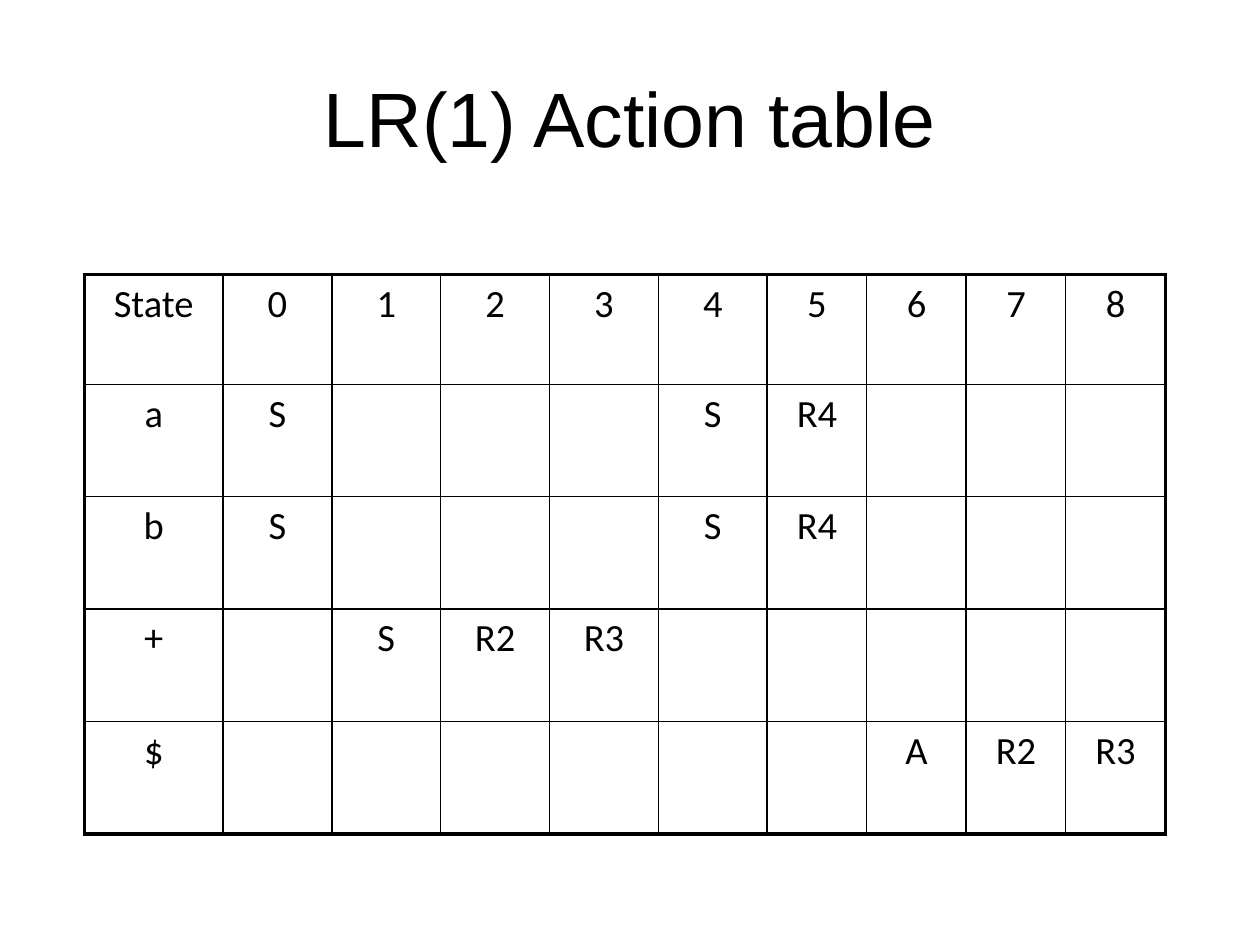
from lxml.etree import SubElement
from pptx import Presentation
from pptx.dml.color import RGBColor
from pptx.enum.text import MSO_ANCHOR, PP_ALIGN
from pptx.oxml.ns import qn
from pptx.util import Inches, Pt

BLACK = RGBColor(0x00, 0x00, 0x00)

TITLE = "LR(1) Action table"
STATES = range(9)
ACTIONS = {  # symbol: {state: action}
    "a": {0: "S", 4: "S", 5: "R4"},
    "b": {0: "S", 4: "S", 5: "R4"},
    "+": {1: "S", 2: "R2", 3: "R3"},
    "$": {6: "A", 7: "R2", 8: "R3"},
}

TABLE_LEFT, TABLE_TOP, TABLE_WIDTH, TABLE_HEIGHT = 0.67, 2.18, 8.58, 4.44
LABEL_WIDTH, NARROW_WIDTH, NARROW_COUNT = 1.1, 0.79, 4
HEADER_HEIGHT = 0.87
OUTER_LINE, INNER_LINE = Pt(2.25), Pt(1)


def write(frame, text, font_name, size):
    paragraph = frame.paragraphs[0]
    paragraph.alignment = PP_ALIGN.CENTER
    span = paragraph.add_run()
    span.text = text
    span.font.name = font_name
    span.font.size = Pt(size)
    span.font.color.rgb = BLACK


def set_borders(cell, outer_sides):
    """Draw all four sides, thicker where the side is on the table's edge."""
    properties = cell._tc.get_or_add_tcPr()
    for side, is_outer in outer_sides.items():
        width = OUTER_LINE if is_outer else INNER_LINE
        line = SubElement(properties, qn(f"a:ln{side}"), w=str(width))
        fill = SubElement(line, qn("a:solidFill"))
        SubElement(fill, qn("a:srgbClr"), val=str(BLACK))


def add_action_table(page):
    rows = [["State", *map(str, STATES)]]
    for symbol, actions in ACTIONS.items():
        rows.append([symbol, *(actions.get(state, "") for state in STATES)])
    row_count, column_count = len(rows), len(rows[0])

    table = page.shapes.add_table(
        row_count, column_count, Inches(TABLE_LEFT), Inches(TABLE_TOP),
        Inches(TABLE_WIDTH), Inches(TABLE_HEIGHT)).table
    table.first_row = table.horz_banding = False

    wide_count = len(STATES) - NARROW_COUNT
    wide_width = (TABLE_WIDTH - LABEL_WIDTH - NARROW_COUNT * NARROW_WIDTH) / wide_count
    widths = [LABEL_WIDTH] + [wide_width] * wide_count + [NARROW_WIDTH] * NARROW_COUNT
    for column, width in zip(table.columns, widths):
        column.width = Inches(width)
    body_height = (TABLE_HEIGHT - HEADER_HEIGHT) / len(ACTIONS)
    for row, height in zip(table.rows, [HEADER_HEIGHT] + [body_height] * len(ACTIONS)):
        row.height = Inches(height)

    for r, texts in enumerate(rows):
        for c, text in enumerate(texts):
            cell = table.cell(r, c)
            set_borders(cell, {"L": c == 0, "R": c == column_count - 1,
                               "T": r == 0, "B": r == row_count - 1})
            cell.fill.background()
            if text:
                write(cell.text_frame, text, "Calibri", 22)


def main():
    deck = Presentation()
    deck.slide_width, deck.slide_height = Inches(10), Inches(7.5)
    page = deck.slides.add_slide(deck.slide_layouts[5])

    title = page.shapes.title
    title.left, title.top = Inches(0.5), Inches(0.3)
    title.width, title.height = Inches(9), Inches(1.25)
    title.text_frame.vertical_anchor = MSO_ANCHOR.MIDDLE
    write(title.text_frame, TITLE, "Arial", 44)

    add_action_table(page)
    deck.save("out.pptx")


if __name__ == "__main__":
    main()
